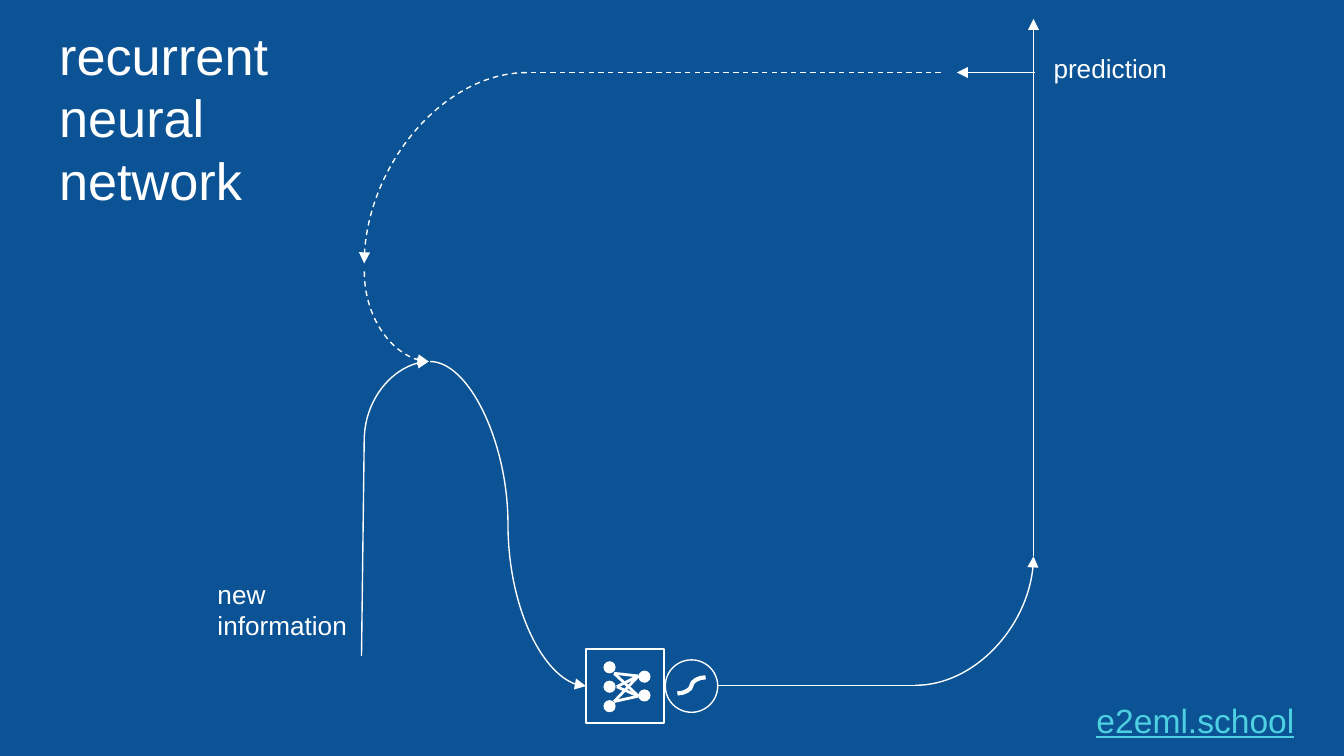
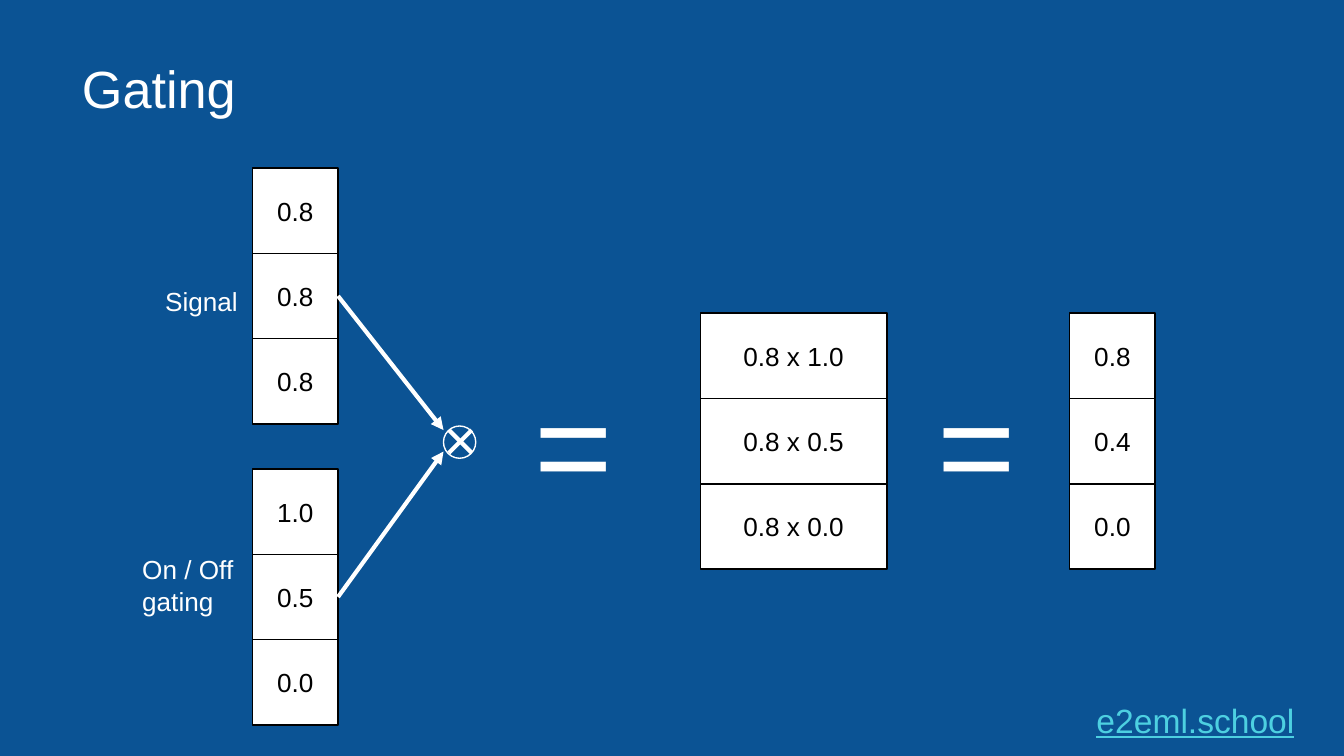
from itertools import product

from lxml import etree
from pptx import Presentation
from pptx import util as u
from pptx.dml.color import RGBColor
from pptx.enum import dml, shapes, text
from pptx.oxml.ns import qn

COLORS = {"ground": "0B5394", "ink": "FFFFFF", "cell_ink": "000000", "link": "4DD0E1"}
FONT = "Arial"
COLUMNS = 100
CELL = 6.35
THIN, EDGE, THICK = 0.75, 1.5, 2.25


class Board:
    """Holds the deck style and the current slide, measured in square grid units."""

    def __init__(self):
        self.deck = Presentation()
        self.deck.slide_width = u.Inches(10)
        self.deck.slide_height = u.Inches(5.625)
        self.unit = self.deck.slide_width / COLUMNS
        self.paint(self.deck.slide_master.background.fill, "ground")

    def grid(self, *lengths):
        return [u.Emu(round(length * self.unit)) for length in lengths]

    def paint(self, fill, color):
        if color:
            fill.solid()
            fill.fore_color.rgb = RGBColor.from_string(COLORS[color])
        else:
            fill.background()

    def page(self, lines, left, top):
        self.slide = self.deck.slides.add_slide(self.deck.slide_layouts[5])
        self.canvas = self.slide.shapes
        title = self.slide.shapes.title
        title.left, title.top, title.width, title.height = self.grid(left, top, 93.2, 6.3)
        self.set_text(title, lines, 28)
        footer = self.label(["e2eml.school"], 80.6, 50.6, 17.9, 4.8, 18, "link")
        para = footer.text_frame.paragraphs[0]
        para.line_spacing = 1.15
        para.space_after = u.Pt(16)
        para.runs[0].font.underline = True

    def group(self):
        self.canvas = self.slide.shapes.add_group_shape().shapes

    def ungroup(self):
        self.canvas = self.slide.shapes

    def set_text(self, box, lines, size, color="ink", align=text.PP_ALIGN.LEFT,
                 anchor=text.MSO_ANCHOR.TOP):
        frame = box.text_frame
        frame.word_wrap = True
        frame.auto_size = text.MSO_AUTO_SIZE.NONE
        frame.vertical_anchor = anchor
        frame.margin_left = frame.margin_right = u.Inches(0.1)
        frame.margin_top = frame.margin_bottom = u.Inches(0.1)
        for index, line in enumerate(lines):
            para = frame.add_paragraph() if index else frame.paragraphs[0]
            para.alignment = align
            span = para.add_run()
            span.text = line
            span.font.name = FONT
            span.font.size = u.Pt(size)
            span.font.color.rgb = RGBColor.from_string(COLORS[color])

    def label(self, lines, left, top, width, height, size=14, color="ink"):
        box = self.canvas.add_textbox(*self.grid(left, top, width, height))
        self.set_text(box, lines, size, color)
        return box

    def shape(self, kind, left, top, width, height, fill=None, line="ink"):
        box = self.canvas.add_shape(kind, *self.grid(left, top, width, height))
        box.shadow.inherit = False
        self.paint(box.fill, fill)
        self.paint(box.line.fill, line)
        if line:
            box.line.width = u.Pt(THIN)
        return box

    def rect(self, *place, **style):
        return self.shape(shapes.MSO_SHAPE.RECTANGLE, *place, **style)

    def circle(self, left, top, size, **style):
        return self.shape(shapes.MSO_SHAPE.OVAL, left, top, size, size, **style)

    def stack(self, values, left, top, width=CELL):
        cells = []
        for index, value in enumerate(values):
            cell = self.rect(left, top + index * CELL, width, CELL,
                             fill="ink", line="cell_ink")
            self.set_text(cell, [value], 14, "cell_ink", text.PP_ALIGN.CENTER,
                          text.MSO_ANCHOR.MIDDLE)
            cells.append(cell)
        return cells

    def line(self, start, end, width=THIN, arrow=False, dashed=False,
             kind=shapes.MSO_CONNECTOR.STRAIGHT):
        link = self.canvas.add_connector(kind, *self.grid(*start, *end))
        self.paint(link.line.fill, "ink")
        link.line.width = u.Pt(width)
        if dashed:
            link.line.dash_style = dml.MSO_LINE.DASH
        properties = link.element.spPr
        if arrow:
            etree.SubElement(properties.find(qn("a:ln")), qn("a:tailEnd"), type="triangle")
        etree.SubElement(properties, qn("a:effectLst"))
        return link

    def wave(self, start, end, **style):
        return self.line(start, end, kind=shapes.MSO_CONNECTOR.CURVE, **style)

    def bend(self, start, end, upright=False, **style):
        """Draw a quarter curve that leaves its start sideways, or upright if asked."""
        if upright:
            (x1, y1), (x2, y2) = start, end
            middle_x, middle_y = (x1 + x2) / 2, (y1 + y2) / 2
            half_x, half_y = (x2 - x1) / 2, (y2 - y1) / 2
            start = middle_x + half_y, middle_y - half_x
            end = middle_x - half_y, middle_y + half_x
        link = self.wave(start, end, **style)
        properties = link.element.spPr
        properties.find(qn("a:prstGeom")).set("prst", "curvedConnector2")
        if upright:
            properties.find(qn("a:xfrm")).set("rot", str(270 * 60000))


def network_icon(board):
    board.group()
    nodes = [(44.9, 49.2 + 1.45 * i) for i in range(3)] + [(47.5, 49.9), (47.5, 51.3)]
    for node in nodes:
        board.circle(*node, 0.9, fill="ink", line=None)
    inputs = [(45.7, 50.1), (45.7, 52.2), (45.9, 51.1)]
    outputs = [(47.5, 50.3), (47.5, 51.8)]
    for start, end in product(inputs, outputs):
        board.line(start, end, EDGE)
    frame = board.rect(43.6, 48.3, 5.8, 5.5)
    board.group()
    board.circle(49.5, 49.1, 3.9)
    board.wave((50.4, 51.6), (52.5, 50.4), width=THICK)
    board.ungroup()
    return frame


def recurrent_slide(board):
    board.page(["recurrent", "neural", "network"], 3.4, 0.7)
    network = network_icon(board)
    merge, entry, corner = (31.9, 26.9), (27.1, 32.8), (39.2, 5.4)
    run_out, riser = (68.1, 51), (76.9, 41.4)
    board.wave((32, 26.9), (43.6, 51), arrow=True).end_connect(network, 1)
    board.line(run_out, (53.4, 51))
    board.bend(run_out, riser, arrow=True)
    board.line(riser, (76.9, 1.4), arrow=True)
    board.line((77, 5.4), (71.2, 5.4), arrow=True)
    board.line((70, 5.4), corner, dashed=True)
    board.bend(corner, (27.1, 19.6), arrow=True, dashed=True)
    board.bend((27.1, 20.2), merge, upright=True, arrow=True, dashed=True)
    board.bend(entry, merge, upright=True, arrow=True)
    board.line(entry, (26.9, 48.8))
    board.label(["prediction"], 77.4, 2.9, 11.2, 4.4)
    board.label(["new information"], 15.2, 42, 12, 7.8)


def gating_slide(board):
    board.page(["Gating"], 5.1, 3.2)
    signal = board.stack(["0.8", "0.8", "0.8"], 18.8, 12.5)
    gate = board.stack(["1.0", "0.5", "0.0"], 18.8, 34.9)
    board.stack(["0.8 x 1.0", "0.8 x 0.5", "0.8 x 0.0"], 52.1, 23.3, 13.9)
    board.stack(["0.8", "0.4", "0.0"], 79.6, 23.3)
    for cells, end_y in ((signal, 32), (gate, 33.6)):
        arrow = board.line((25.1, end_y), (33, end_y), THICK, arrow=True)
        arrow.begin_connect(cells[1], 3)
    for left in (38.8, 68.8):
        board.label(["="], left, 25.8, 11.6, 15.9, 72)
    board.group()
    board.circle(33, 31.7, 2.4)
    board.line((35.1, 32), (33.4, 33.7), THICK)
    board.line((33.4, 32), (35.1, 33.7), THICK)
    board.ungroup()
    board.label(["Signal"], 11.3, 20.2, 9.1, 7.8)
    board.label(["On / Off", "gating"], 9.6, 40.2, 9.6, 7.8)


def main():
    board = Board()
    recurrent_slide(board)
    gating_slide(board)
    board.deck.save("out.pptx")


if __name__ == "__main__":
    main()
